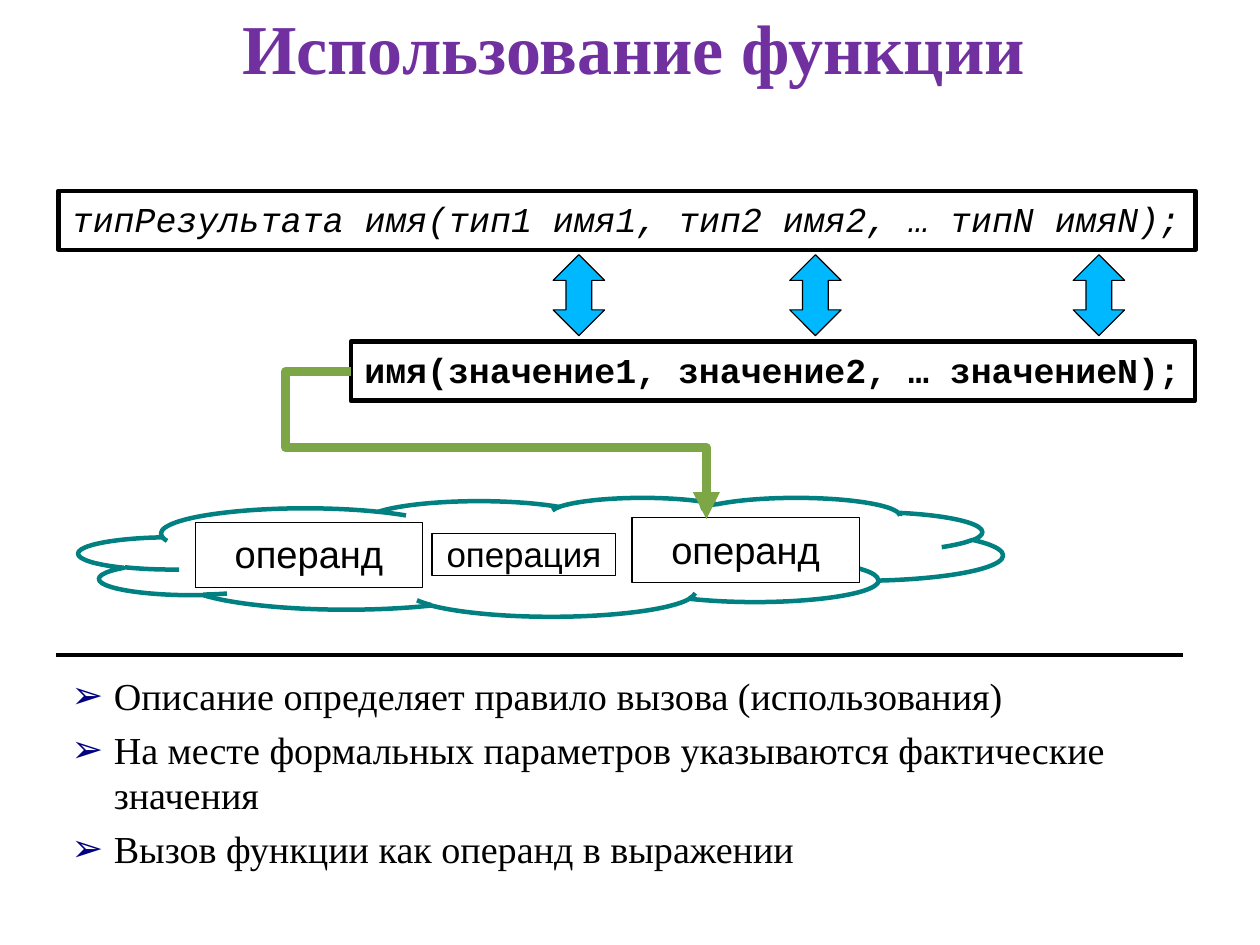
from lxml.etree import SubElement
from pptx import Presentation
from pptx.dml.color import RGBColor
from pptx.enum.shapes import MSO_CONNECTOR as Connector, MSO_SHAPE as Shape
from pptx.enum.text import MSO_ANCHOR as Anchor, MSO_AUTO_SIZE as AutoSize, PP_ALIGN as Align
from pptx.oxml.ns import qn
from pptx.util import Pt

BLACK = RGBColor(0x00, 0x00, 0x00)
WHITE = RGBColor(0xFF, 0xFF, 0xFF)
PURPLE = RGBColor(0x70, 0x30, 0xA0)
NAVY = RGBColor(0x00, 0x00, 0x80)
SKY = RGBColor(0x00, 0xB8, 0xFF)
TEAL = RGBColor(0x00, 0x80, 0x80)
GREEN = RGBColor(0x7D, 0xA6, 0x47)

RULES = [
    "Описание определяет правило вызова (использования)",
    "На месте формальных параметров указываются фактические значения",
    "Вызов функции как операнд в выражении",
]


def place(shape, left, top, width, height):
    shape.left, shape.top = Pt(left), Pt(top)
    shape.width, shape.height = Pt(width), Pt(height)


def set_font(para, name, size, color=BLACK, bold=False, italic=False):
    font = para.font
    font.name, font.size = name, Pt(size)
    font.bold, font.italic = bold, italic
    font.color.rgb = color


def set_margins(frame, side, top, bottom):
    frame.margin_left = frame.margin_right = Pt(side)
    frame.margin_top, frame.margin_bottom = Pt(top), Pt(bottom)


def style(shape, line, width, fill=None):
    shape.shadow.inherit = False
    shape.line.color.rgb = line
    shape.line.width = Pt(width)
    if fill is None:
        shape.fill.background()
    else:
        shape.fill.solid()
        shape.fill.fore_color.rgb = fill


def add_figure(page, kind, box, line, width, fill=None):
    shape = page.shapes.add_shape(kind, *map(Pt, box))
    style(shape, line, width, fill)
    return shape


def add_label(shape, text, align, anchor, spacing):
    frame = shape.text_frame
    frame.word_wrap = False
    frame.vertical_anchor = anchor
    para = frame.paragraphs[0]
    para.text = text
    para.alignment = align
    para.line_spacing = spacing
    return para


def add_code_box(page, text, left, top, width, bold=False, italic=False):
    box = add_figure(page, Shape.RECTANGLE, (left, top, width, 37.2), BLACK, 2.83)
    para = add_label(box, text, Align.LEFT, Anchor.TOP, 0.94)
    set_margins(box.text_frame, 8.6, 6.5, 5)
    set_font(para, "Courier New", 22, bold=bold, italic=italic)


def add_term(page, text, size, box, fill=None):
    term = add_figure(page, Shape.RECTANGLE, box, BLACK, 0.75, fill)
    para = add_label(term, text, Align.CENTER, Anchor.MIDDLE, 0.93)
    set_margins(term.text_frame, 7.2, 5, 3.6)
    set_font(para, "Arial", size)


def add_match_arrow(page, center):
    arrow = add_figure(page, Shape.UP_DOWN_ARROW, (center - 16.2, 160.4, 32.4, 51),
                       BLACK, 0.75, SKY)
    arrow.adjustments[0], arrow.adjustments[1] = 0.312, 0.5


def add_call_path(page, points):
    builder = page.shapes.build_freeform(*points[0], scale=Pt(1))
    builder.add_line_segments(points[1:], close=False)
    route = builder.convert_to_shape()
    style(route, GREEN, 5.67)
    line = route.line._get_or_add_ln()
    SubElement(line, qn("a:round"))
    SubElement(line, qn("a:tailEnd"), type="triangle")


def add_divider(page, left, right, y):
    divider = page.shapes.add_connector(Connector.STRAIGHT, Pt(left), Pt(y), Pt(right), Pt(y))
    divider.line.color.rgb = BLACK
    divider.line.width = Pt(3)
    SubElement(divider._element.spPr, qn("a:effectLst"))


def fill_title(title, text):
    place(title, 42.3, 2.9, 714.2, 54)
    frame = title.text_frame
    frame.auto_size = AutoSize.NONE
    para = add_label(title, text, Align.CENTER, Anchor.MIDDLE, 1.0)
    frame.word_wrap = True
    set_margins(frame, 7.9, 2.9, 4.3)
    set_font(para, "Times New Roman", 44.1, PURPLE, bold=True)


def add_bullet(para):
    props = para._p.get_or_add_pPr()
    props.set("marL", str(Pt(35.7)))
    props.set("indent", str(Pt(-26.8)))
    color = SubElement(props, qn("a:buClr"))
    SubElement(color, qn("a:srgbClr"), val=str(NAVY))
    SubElement(props, qn("a:buChar"), char="➢")


def fill_list(body, items):
    place(body, 28.1, 422.4, 725, 131.8)
    frame = body.text_frame
    frame.auto_size = AutoSize.NONE
    frame.word_wrap = True
    set_margins(frame, 7.9, 1.4, 4.3)
    frame.text = "\n".join(items)
    for para in frame.paragraphs:
        para.space_before = Pt(4.8)
        add_bullet(para)
        set_font(para, "Times New Roman", 24)


def main():
    deck = Presentation()
    deck.slide_width, deck.slide_height = Pt(793.75), Pt(595.25)
    page = deck.slides.add_slide(deck.slide_layouts[1])

    # Title and list
    fill_title(page.shapes.title, "Использование функции")
    fill_list(page.placeholders[1], RULES)

    # Call and declaration with matching parameters
    add_code_box(page, "имя(значение1, значение2, … значениеN);", 221, 215.3, 531.9, bold=True)
    add_code_box(page, "типРезультата имя(тип1 имя1, тип2 имя2, … типN имяN);",
                 36.7, 120.2, 716.4, italic=True)
    for center in (364.7, 513.7, 692.3):
        add_match_arrow(page, center)

    # Expression in a cloud
    add_figure(page, Shape.CLOUD, (49.7, 313.4, 582, 74.9), TEAL, 2.83)
    add_term(page, "операнд", 24, (123.1, 329, 143.1, 41))
    add_term(page, "операция", 22, (272.1, 336, 115.9, 26.6))
    add_term(page, "операнд", 24, (398.2, 326.2, 143.1, 41), WHITE)

    # Call used as an operand
    add_call_path(page, [(221, 234), (180, 234), (180, 281.8), (445, 281.8), (445, 327.4)])

    add_divider(page, 35.3, 745.2, 412.6)
    deck.save("out.pptx")


if __name__ == "__main__":
    main()
